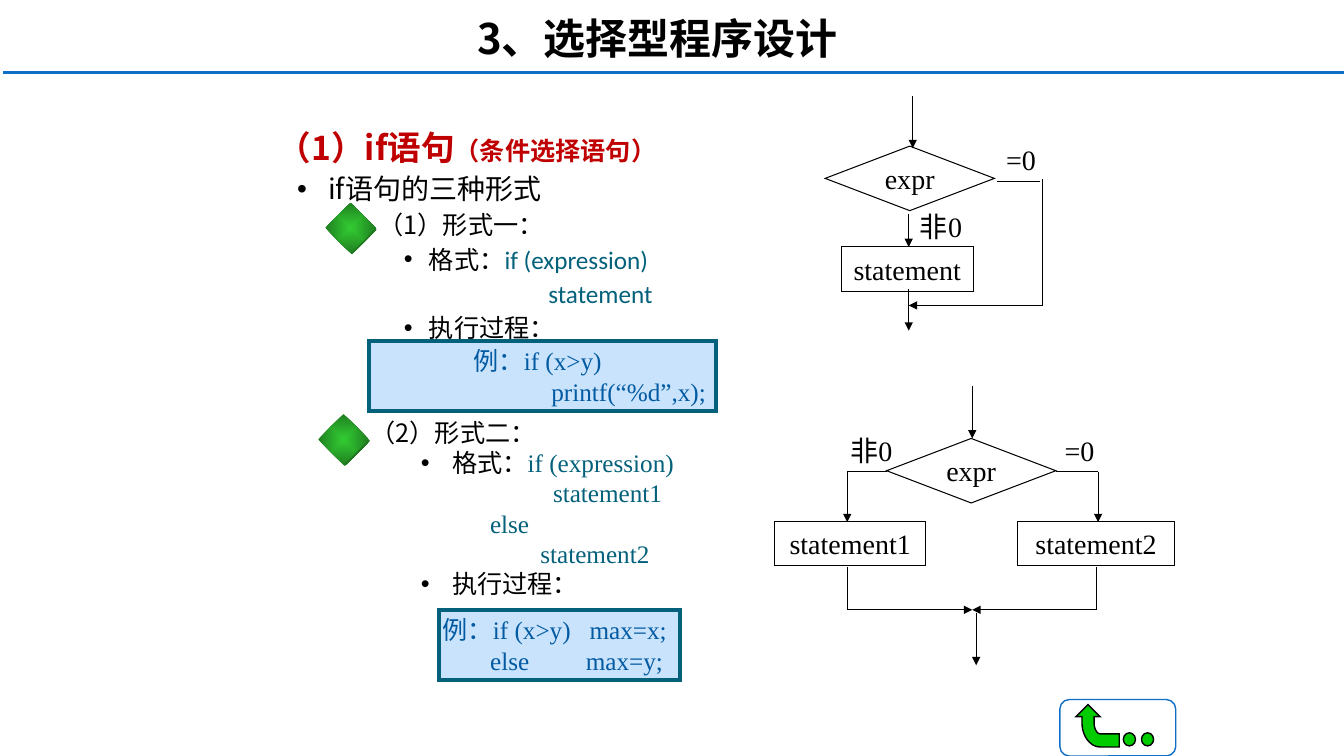
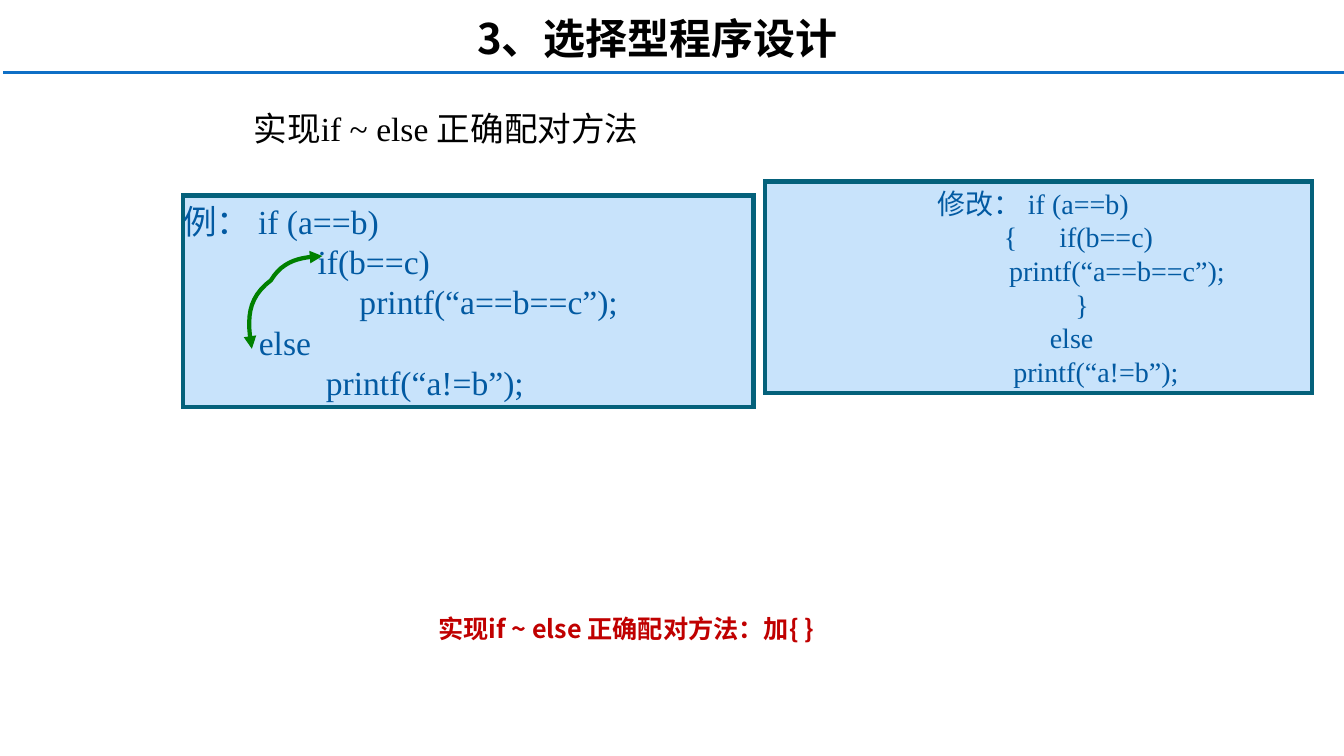
from dataclasses import dataclass
from lxml import etree
from pptx import Presentation
from pptx.dml.color import RGBColor
from pptx.enum.shapes import MSO_CONNECTOR, MSO_SHAPE
from pptx.enum.text import MSO_ANCHOR, PP_ALIGN
from pptx.oxml.ns import qn
from pptx.util import Inches, Pt

LEFT, CENTER = PP_ALIGN.LEFT, PP_ALIGN.CENTER
TOP, MIDDLE = MSO_ANCHOR.TOP, MSO_ANCHOR.MIDDLE
RECTANGLE, ROUNDED = MSO_SHAPE.RECTANGLE, MSO_SHAPE.ROUNDED_RECTANGLE
DECISION, DIAMOND, OVAL = MSO_SHAPE.FLOWCHART_DECISION, MSO_SHAPE.DIAMOND, MSO_SHAPE.OVAL
STRAIGHT = MSO_CONNECTOR.STRAIGHT


@dataclass(frozen=True)
class Style:
    size: int
    color: str = "000000"
    font: str = "Noto Sans CJK SC"
    bold: bool = False


class Theme:
    size = (13.34, 7.5)
    cjk = "Noto Sans CJK SC"
    serif = "Times New Roman"
    black, white, rule = "000000", "FFFFFF", "0F6FC6"
    panel, teal, code = "C8E3FB", "04617B", "025AA2"
    red, green, bright, curve = "C00000", "33CC33", "00CC00", "008000"
    dark_green, shade = "208120", "1F7A1F"
    snug, loose = 1.2, 1.36
    styles = {
        "title": Style(30, bold=True),
        "section": Style(24, red, bold=True),
        "aside": Style(18, red, bold=True),
        "topic": Style(20),
        "body": Style(18),
        "syntax": Style(18, teal, "Calibri"),
        "syntax serif": Style(18, teal, serif),
        "node": Style(20, black, serif),
        "heading": Style(24, black, serif),
        "code small": Style(18, code, serif),
        "code medium": Style(20, code, serif),
        "code large": Style(24, code, serif),
    }


TITLE = "3、选择型程序设计"

FORM_ONE = [
    (0.5, 0, [("（1）if语句", "section"), ("（条件选择语句）", "aside")]),
    (1, 0.31, [("if语句的三种形式", "topic")]),
    (1.5, 0, [("（1）形式一：", "body")]),
    (2, 0.25, [("格式：", "body"), ("if (expression)", "syntax")]),
    (2, 0, [("                     statement", "syntax")]),
    (2, 0.25, [("执行过程：", "body")]),
]
FORM_TWO = [
    (1.5, 0, [("（2）形式二：", "body")]),
    (2.31, 0.31, [("格式：", "body"), ("if (expression)", "syntax serif")]),
    (2, 0, [("                     statement1", "syntax serif")]),
    (1.5, 0, [("                   else", "syntax serif")]),
    (1.5, 0, [("                           statement2", "syntax serif")]),
    (2.31, 0.31, [("执行过程：", "body")]),
]
EXAMPLE_ONE = ["例：if (x>y)", "                             printf(“%d”,x);"]
EXAMPLE_TWO = ["例：if (x>y)   max=x;", "       else         max=y;"]
UNPAIRED = [
    "例： if (a==b)",
    "                if(b==c)",
    "                     printf(“a==b==c”);",
    "         else",
    "                 printf(“a!=b”);",
]
CORRECTED = [
    "修改： if (a==b)",
    "             {      if(b==c)",
    "                        printf(“a==b==c”);",
    "              }",
    "           else",
    "                  printf(“a!=b”);",
]
HEADING = "实现if ~ else 正确配对方法"
CONCLUSION = "实现if ~ else 正确配对方法：加{ }"

NODES = [
    ("expr", DECISION, (8.19, 1.45, 1.68, 0.64)),
    ("statement", RECTANGLE, (8.35, 2.45, 1.31, 0.44)),
    ("expr", DECISION, (8.8, 4.35, 1.68, 0.64)),
    ("statement1", RECTANGLE, (7.69, 5.17, 1.5, 0.44)),
    ("statement2", RECTANGLE, (10.1, 5.17, 1.56, 0.44)),
]
BRANCH_LABELS = [
    ("非0", (9, 2.03, 0.68, 0.44)),
    ("=0", (9.89, 1.36, 0.49, 0.44)),
    ("非0", (8.31, 4.25, 0.68, 0.44)),
    ("=0", (10.47, 4.25, 0.49, 0.44)),
]
ARROWS = [
    [(9.06, 0.95), (9.06, 1.47)],
    [(9.02, 2.12), (9.02, 2.45)],
    [(9.02, 2.87), (9.02, 3.28)],
    [(10.35, 1.78), (10.35, 3.03), (9.02, 3.03)],
    [(9.65, 3.83), (9.65, 4.35)],
    [(8.8, 4.68), (8.41, 4.68), (8.41, 5.18)],
    [(10.48, 4.68), (10.9, 4.68), (10.9, 5.18)],
    [(8.41, 5.63), (8.41, 6.05), (9.65, 6.05)],
    [(10.88, 5.63), (10.88, 6.05), (9.65, 6.05)],
    [(9.69, 6.08), (9.69, 6.6)],
]
FALSE_EXIT = [(9.9, 1.8), (10.32, 1.8)]
MARKERS = [(3.23, 2.01), (3.16, 4.11)]
RETURN_ARROW = [
    [(10.8, 6.99)], [(10.68, 7.11)], [(10.74, 7.11)], [(10.74, 7.17)],
    [(10.74, 7.3), (10.82, 7.41), (10.92, 7.41)],
    [(11.11, 7.41)], [(11.11, 7.28)], [(10.92, 7.28)],
    [(10.89, 7.28), (10.86, 7.23), (10.86, 7.17)],
    [(10.86, 7.11)], [(10.92, 7.11)],
]
PAIRING_CURVE = [
    [(2.5, 3.46)],
    [(2.45, 3.17), (2.45, 2.96), (2.69, 2.78)],
    [(2.81, 2.58), (2.99, 2.55), (3.2, 2.54)],
]


def inches(values):
    return [Inches(value) for value in values]


def paint(shape, fill=None, line=None, width=0.75):
    shape.shadow.inherit = False
    if fill:
        shape.fill.solid()
        shape.fill.fore_color.rgb = RGBColor.from_string(fill)
    else:
        shape.fill.background()
    if line:
        shape.line.color.rgb = RGBColor.from_string(line)
        shape.line.width = Pt(width)
        etree.SubElement(shape.line._get_or_add_ln(), qn("a:miter"), lim="800000")
    else:
        shape.line.fill.background()


def add_tip(shape, *ends):
    line = shape.line._get_or_add_ln()
    for end in ends:
        etree.SubElement(line, qn(f"a:{end}"), type="triangle")


def write(box, paragraphs, align=LEFT, anchor=TOP, wrap=True, sides=(0.1, 0.1), spacing=Theme.snug):
    frame = box.text_frame
    frame.word_wrap = wrap
    frame.vertical_anchor = anchor
    frame.margin_left, frame.margin_right = inches(sides)
    frame.margin_top = frame.margin_bottom = Inches(0.05)
    for index, (indent, hanging, runs) in enumerate(paragraphs):
        para = frame.paragraphs[0] if index == 0 else frame.add_paragraph()
        para.alignment = align
        para.line_spacing = Pt(round(Theme.styles[runs[0][1]].size * spacing, 1))
        properties = para._p.get_or_add_pPr()
        properties.set("marL", str(Inches(indent)))
        properties.set("indent", str(-Inches(hanging)))
        if hanging:
            etree.SubElement(properties, qn("a:buFont"), typeface="Arial")
            etree.SubElement(properties, qn("a:buChar"), char="•")
        for text, name in runs:
            style = Theme.styles[name]
            span = para.add_run()
            span.text = text
            span.font.name = style.font
            span.font.size = Pt(style.size)
            span.font.bold = style.bold
            span.font.color.rgb = RGBColor.from_string(style.color)
            etree.SubElement(span._r.get_or_add_rPr(), qn("a:ea"), typeface=Theme.cjk)


def plain(lines, style):
    return [(0, 0, [(line, style)]) for line in lines]


def add_text(page, place, paragraphs, **layout):
    write(page.shapes.add_textbox(*inches(place)), paragraphs, **layout)


def add_shape(page, kind, place, **look):
    shape = page.shapes.add_shape(kind, *inches(place))
    paint(shape, **look)
    return shape


def add_code(page, place, lines, style, **layout):
    box = add_shape(page, RECTANGLE, place, fill=Theme.panel, line=Theme.teal, width=3)
    write(box, plain(lines, style), sides=(0, 0.1), **layout)


def add_route(page, points, color=Theme.black, width=0.75, arrow=True):
    for start, end in zip(points, points[1:]):
        link = page.shapes.add_connector(STRAIGHT, *inches(start + end))
        link.line.color.rgb = RGBColor.from_string(color)
        link.line.width = Pt(width)
        etree.SubElement(link._element.spPr, qn("a:effectLst"))
    if arrow:
        add_tip(link, "tailEnd")


def trace(segments, steps=12):
    points = list(segments[0])
    for segment in segments[1:]:
        if len(segment) == 1:
            points += segment
            continue
        corners = [points[-1], *segment]
        for step in range(1, steps + 1):
            t = step / steps
            weights = ((1 - t) ** 3, 3 * t * (1 - t) ** 2, 3 * t * t * (1 - t), t ** 3)
            points.append(tuple(sum(w * c[axis] for w, c in zip(weights, corners)) for axis in (0, 1)))
    return [inches(point) for point in points]


def add_outline(page, segments, close, **look):
    start, *rest = trace(segments)
    builder = page.shapes.build_freeform(*start)
    builder.add_line_segments(rest, close=close)
    shape = builder.convert_to_shape()
    paint(shape, **look)
    return shape


def add_marker(page, corner):
    marker = add_shape(page, DIAMOND, (*corner, 0.5, 0.5))
    marker.fill.gradient()
    for stop, color in zip(marker.fill.gradient_stops, (Theme.green, Theme.dark_green)):
        stop.color.rgb = RGBColor.from_string(color)
    properties = marker._element.spPr
    gradient = properties.find(qn("a:gradFill"))
    linear = gradient.find(qn("a:lin"))
    radial = etree.Element(qn("a:path"), path="rect")
    etree.SubElement(radial, qn("a:fillToRect"), l="50000", t="50000", r="50000", b="50000")
    gradient.replace(linear, radial)
    shadow = etree.SubElement(properties.find(qn("a:effectLst")), qn("a:outerShdw"),
                              dist=str(Pt(1.4)), dir="2700000")
    etree.SubElement(shadow, qn("a:srgbClr"), val=Theme.shade)


def add_page(deck):
    page = deck.slides.add_slide(deck.slide_layouts[6])
    add_route(page, [(0.03, 0.72), (13.38, 0.72)], Theme.rule, 2.25, arrow=False)
    add_text(page, (0.8, 0.08, 11.45, 0.6), plain([TITLE], "title"), align=CENTER)
    return page


def add_return_button(page):
    button = add_shape(page, ROUNDED, (10.52, 6.94, 1.15, 0.56), line=Theme.rule, width=1)
    button.adjustments[0] = 0.167
    look = dict(fill=Theme.bright, line=Theme.black, width=1)
    add_outline(page, RETURN_ARROW, True, **look)
    for left in (11.15, 11.33):
        add_shape(page, OVAL, (left, 7.27, 0.12, 0.13), **look)


def build_forms(deck):
    page = add_page(deck)
    add_text(page, (2.16, 1.16, 5.76, 2.73), FORM_ONE, spacing=Theme.loose)
    add_text(page, (2.08, 4.09, 5.83, 2.74), FORM_TWO)
    for text, kind, place in NODES:
        node = add_shape(page, kind, place, fill=Theme.white, line=Theme.black)
        write(node, plain([text], "node"), align=CENTER, anchor=MIDDLE, wrap=False)
    for text, place in BRANCH_LABELS:
        add_text(page, place, plain([text], "node"),
                 align=CENTER, anchor=MIDDLE, wrap=False, sides=(0, 0))
    for points in ARROWS:
        add_route(page, points)
    add_route(page, FALSE_EXIT, arrow=False)
    add_code(page, (3.66, 3.38, 3.45, 0.7), EXAMPLE_ONE, "code small", align=CENTER, wrap=False)
    add_code(page, (4.36, 6.05, 2.39, 0.7), EXAMPLE_TWO, "code small", align=CENTER, wrap=False)
    for corner in MARKERS:
        add_marker(page, corner)
    add_return_button(page)


def build_pairing(deck):
    page = add_page(deck)
    add_text(page, (2.42, 1.04, 8.5, 0.46), plain([HEADING], "heading"), anchor=MIDDLE)
    add_code(page, (1.82, 1.94, 5.66, 2.1), UNPAIRED, "code large")
    add_code(page, (7.59, 1.8, 5.43, 2.1), CORRECTED, "code medium", align=CENTER)
    add_text(page, (4.14, 6.03, 4.15, 0.4), plain([CONCLUSION], "aside"),
             align=CENTER, anchor=MIDDLE, wrap=False)
    curve = add_outline(page, PAIRING_CURVE, False, line=Theme.curve, width=3)
    add_tip(curve, "headEnd", "tailEnd")


def main():
    deck = Presentation()
    deck.slide_width, deck.slide_height = inches(Theme.size)
    build_forms(deck)
    build_pairing(deck)
    deck.save("out.pptx")


if __name__ == "__main__":
    main()
